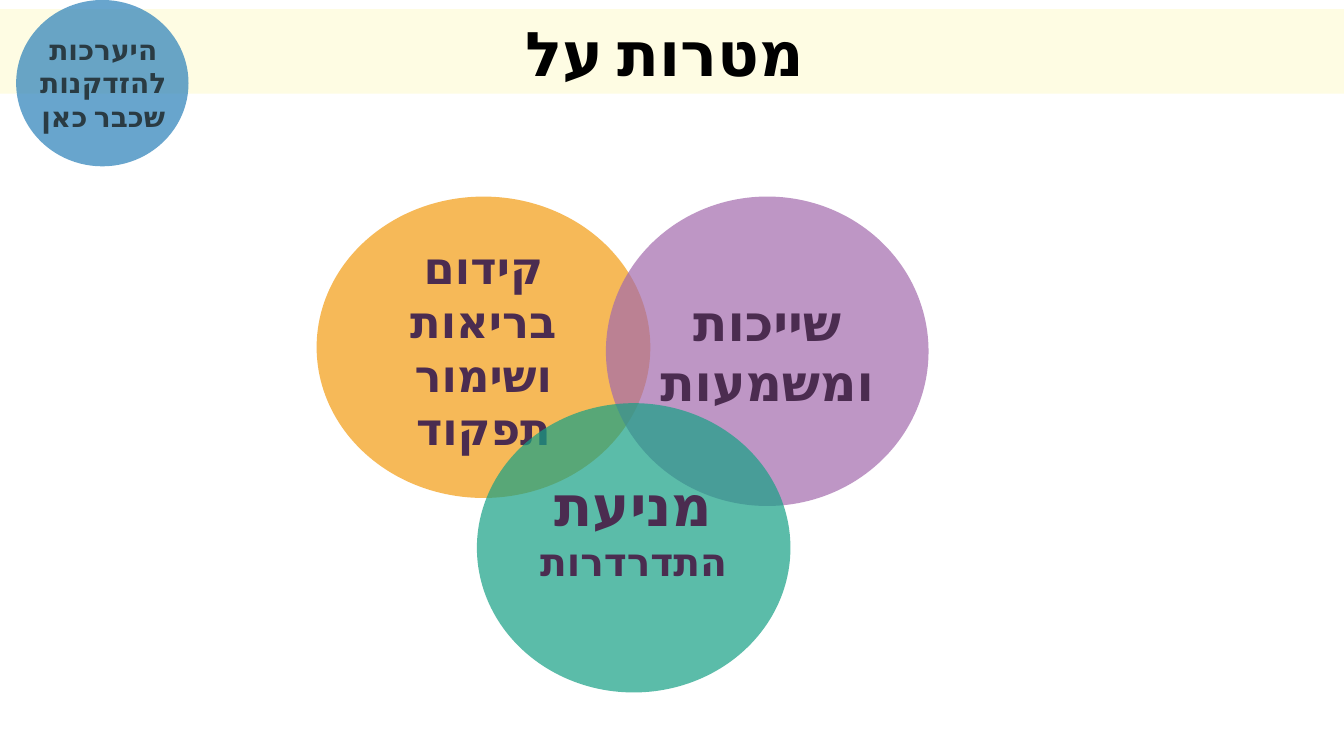
from lxml.etree import SubElement
from pptx import Presentation
from pptx.dml.color import RGBColor
from pptx.enum.lang import MSO_LANGUAGE_ID
from pptx.enum.shapes import MSO_SHAPE
from pptx.enum.text import MSO_ANCHOR, MSO_AUTO_SIZE, PP_ALIGN
from pptx.oxml.ns import qn
from pptx.util import Inches, Pt

FONT = "Calibri"
COLORS = {
    "banner": "FEFCE3",
    "title": "000000",
    "health": "F39C12",
    "belonging": "A36AAD",
    "prevention": "16A085",
    "badge": "2980B9",
    "goal_text": "4B2C50",
    "badge_text": "2A3B43",
}


def color(name):
    return RGBColor.from_string(COLORS[name])


def write_line(paragraph, text, size, ink, rtl=False):
    paragraph.alignment = PP_ALIGN.CENTER
    if rtl:
        paragraph._p.get_or_add_pPr().set("rtl", "1")
    run = paragraph.add_run()
    run.text = text
    run.font.size = Pt(size)
    run.font.bold = True
    run.font.name = FONT
    run.font.color.rgb = color(ink)
    run.font.language_id = MSO_LANGUAGE_ID.HEBREW
    SubElement(run._r.get_or_add_rPr(), qn("a:cs"), typeface=FONT)


def write_lines(frame, lines, ink, rtl=False):
    frame.word_wrap = True
    for index, (text, size) in enumerate(lines):
        paragraph = frame.add_paragraph() if index else frame.paragraphs[0]
        write_line(paragraph, text, size, ink, rtl)


def add_title(slide, text):
    title = slide.shapes.title
    title.left, title.top = Inches(0), Inches(0.09)
    title.width, title.height = Inches(13.33), Inches(0.84)
    title.fill.solid()
    title.fill.fore_color.rgb = color("banner")
    title.text_frame.vertical_anchor = MSO_ANCHOR.MIDDLE
    title.text_frame.auto_size = MSO_AUTO_SIZE.NONE
    write_lines(title.text_frame, [(text, 44)], "title")


def add_circle(slide, box, fill):
    circle = slide.shapes.add_shape(MSO_SHAPE.OVAL, *map(Inches, box))
    circle.shadow.inherit = False
    circle.line.fill.background()
    circle.fill.solid()
    circle.fill.fore_color.rgb = color(fill)
    tint = circle._element.spPr.find(qn("a:solidFill"))[0]
    SubElement(tint, qn("a:alpha"), val="70000")
    return circle


def add_goal(slide, box, fill, lines, rtl=False, bottom=0.04):
    frame = add_circle(slide, box, fill).text_frame
    frame.vertical_anchor = MSO_ANCHOR.MIDDLE
    frame.margin_left = frame.margin_right = Inches(0)
    frame.margin_top, frame.margin_bottom = Inches(0.04), Inches(bottom)
    write_lines(frame, lines, "goal_text", rtl)


def add_badge(slide, lines):
    add_circle(slide, (0.16, 0, 1.71, 1.65), "badge")
    label = slide.shapes.add_textbox(*map(Inches, (0.11, 0.27, 1.83, 1.11)))
    write_lines(label.text_frame, lines, "badge_text", rtl=True)


def main():
    deck = Presentation()
    deck.slide_width, deck.slide_height = Inches(13.33), Inches(7.5)
    slide = deck.slides.add_slide(deck.slide_layouts[5])

    add_title(slide, "מטרות על ")
    add_goal(slide, (3.14, 1.95, 3.31, 2.99), "health",
             [("קידום בריאות ושימור תפקוד", 32)], rtl=True)
    add_goal(slide, (6.01, 1.95, 3.2, 3.07), "belonging",
             [("שייכות ומשמעות", 36)])
    add_goal(slide, (4.73, 4, 3.11, 2.87), "prevention",
             [("מניעת", 40), ("התדרדרות", 28)], bottom=0.45)
    add_badge(slide, [("היערכות להזדקנות", 20), ("שכבר כאן", 20)])

    deck.save("out.pptx")


if __name__ == "__main__":
    main()
